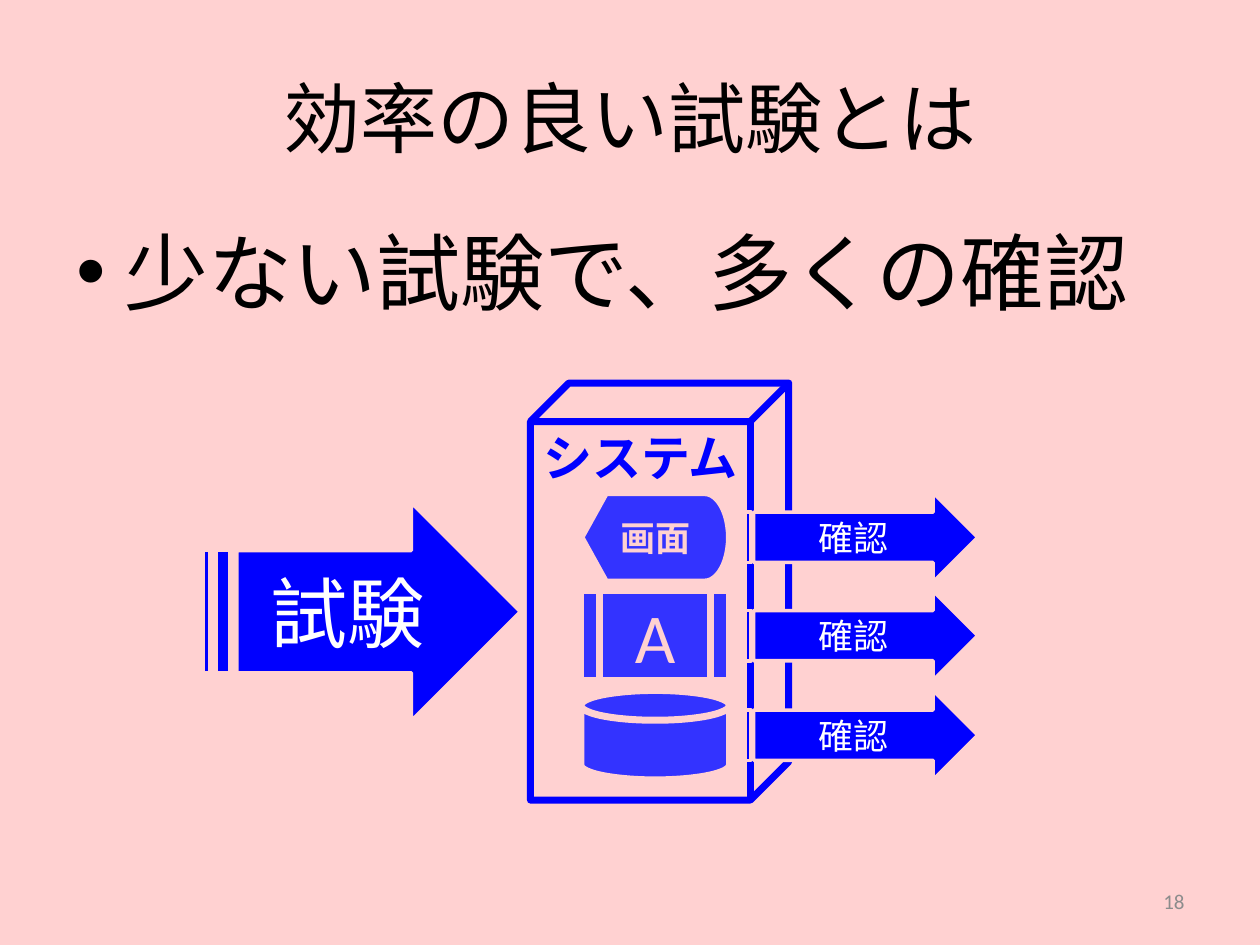
"""Builds the slide on efficient testing: one test feeding a system, many checks coming out."""
from dataclasses import dataclass

from lxml import etree
from pptx import Presentation
from pptx import util as u
from pptx.dml.color import RGBColor
from pptx.enum import shapes, text
from pptx.oxml.ns import qn

PX = 9144


@dataclass(frozen=True)
class Theme:
    """Colours, font and type sizes of the slide."""
    font: str = "Calibri"
    background: str = "FFD1D1"
    ink: str = "000000"
    muted: str = "8C8C8C"
    system: str = "0000FF"
    component: str = "3333FF"
    white: str = "FFFFFF"
    headline: int = 44
    body: int = 48
    letter: int = 40
    system_label: int = 28
    label: int = 20
    footer: int = 12


class Deck:
    """Holds the theme and the current slide and draws each kind of element."""

    def __init__(self, theme):
        """Open a presentation with one title-only slide."""
        self.theme = theme
        self.prs = Presentation()
        self.prs.slide_width, self.prs.slide_height = 1000 * PX, 750 * PX
        self.slide = self.prs.slides.add_slide(self.prs.slide_layouts[5])
        self.paint(self.slide.background.fill, theme.background)

    def paint(self, fill, color):
        """Make a fill solid in one colour."""
        fill.solid()
        fill.fore_color.rgb = RGBColor.from_string(color)

    def typeset(self, frame, words, size, color, align, anchor, bold=False):
        """Put one formatted paragraph in a text frame."""
        frame.text = words
        frame.vertical_anchor = anchor
        paragraph = frame.paragraphs[0]
        paragraph.alignment = align
        for run in paragraph.runs:
            run.font.name = self.theme.font
            run.font.size = u.Pt(size)
            run.font.bold = bold
            run.font.color.rgb = RGBColor.from_string(color)

    def title(self, words, box):
        """Place and fill the title placeholder."""
        heading = self.slide.shapes.title
        heading.left, heading.top, heading.width, heading.height = (n * PX for n in box)
        self.typeset(heading.text_frame, words, self.theme.headline, self.theme.ink,
                     text.PP_ALIGN.CENTER, text.MSO_ANCHOR.MIDDLE)

    def textbox(self, words, box, size, color, align, anchor):
        """Add a wrapping text box and return its paragraph."""
        frame = self.slide.shapes.add_textbox(*(n * PX for n in box)).text_frame
        frame.word_wrap = True
        self.typeset(frame, words, size, color, align, anchor)
        return frame.paragraphs[0]

    def bullet(self, words, box):
        """Add a bulleted statement with a hanging indent."""
        statement = self.textbox(words, box, self.theme.body, self.theme.ink,
                                 text.PP_ALIGN.LEFT, text.MSO_ANCHOR.TOP)
        props = statement._p.get_or_add_pPr()
        props.set("marL", str(38 * PX))
        props.set("indent", str(-38 * PX))
        etree.SubElement(props, qn("a:buFont")).set("typeface", "Arial")
        etree.SubElement(props, qn("a:buChar")).set("char", "•")

    def shape(self, kind, box, line, weight, fill=None, adjust=()):
        """Add an outlined preset shape, filled or hollow."""
        part = self.slide.shapes.add_shape(kind, *(n * PX for n in box))
        part.shadow.inherit = False
        for index, value in enumerate(adjust):
            part.adjustments[index] = value
        if fill:
            self.paint(part.fill, fill)
        else:
            part.fill.background()
        part.line.color.rgb = RGBColor.from_string(line)
        part.line.width = u.Pt(weight)
        return part

    def label(self, part, words, size, color, bold=False, anchor=text.MSO_ANCHOR.MIDDLE):
        """Put a centred label inside a shape."""
        frame = part.text_frame
        frame.word_wrap = False
        frame.margin_left = frame.margin_right = 0
        self.typeset(frame, words, size, color, text.PP_ALIGN.CENTER, anchor, bold)

    def component(self, kind, box, words="", size=0, bold=False):
        """Add one inner component of the system."""
        part = self.shape(kind, box, self.theme.background, 4, self.theme.component)
        if words:
            self.label(part, words, size, self.theme.background, bold)

    def arrow(self, words, box, size):
        """Add a labelled striped arrow."""
        part = self.shape(shapes.MSO_SHAPE.STRIPED_RIGHT_ARROW, box, self.theme.background,
                          2, self.theme.system, (0.561, 0.5))
        self.label(part, words, size, self.theme.white)


def main():
    """Build and save the slide."""
    theme = Theme()
    deck = Deck(theme)
    kinds = shapes.MSO_SHAPE
    rows = [391 + round(78.5 * row) for row in range(3)]

    deck.title("効率の良い試験とは", (50, 30, 900, 125))
    deck.bullet("少ない試験で、多くの確認", (51, 170, 900, 508))
    deck.textbox("18", (717, 695, 233, 40), theme.footer, theme.muted,
                 text.PP_ALIGN.RIGHT, text.MSO_ANCHOR.MIDDLE)

    components = [
        (kinds.FLOWCHART_DISPLAY, "画面", theme.label, True),
        (kinds.FLOWCHART_PREDEFINED_PROCESS, "A", theme.letter, False),
        (kinds.FLOWCHART_MAGNETIC_DISK, "", 0, False),
    ]
    for top, (kind, words, size, bold) in zip(rows, components):
        deck.component(kind, (461, top, 118, 71), words, size, bold)

    system = deck.shape(kinds.CUBE, (421, 304, 205, 331), theme.system, 4, adjust=(0.149,))
    deck.label(system, "システム", theme.system_label, theme.system, True, text.MSO_ANCHOR.TOP)

    deck.arrow("試験", (161, 399, 252, 173), theme.headline)
    for top in rows:
        deck.arrow("確認", (587, top, 189, 71), theme.label)

    deck.prs.save("out.pptx")


if __name__ == "__main__":
    main()
